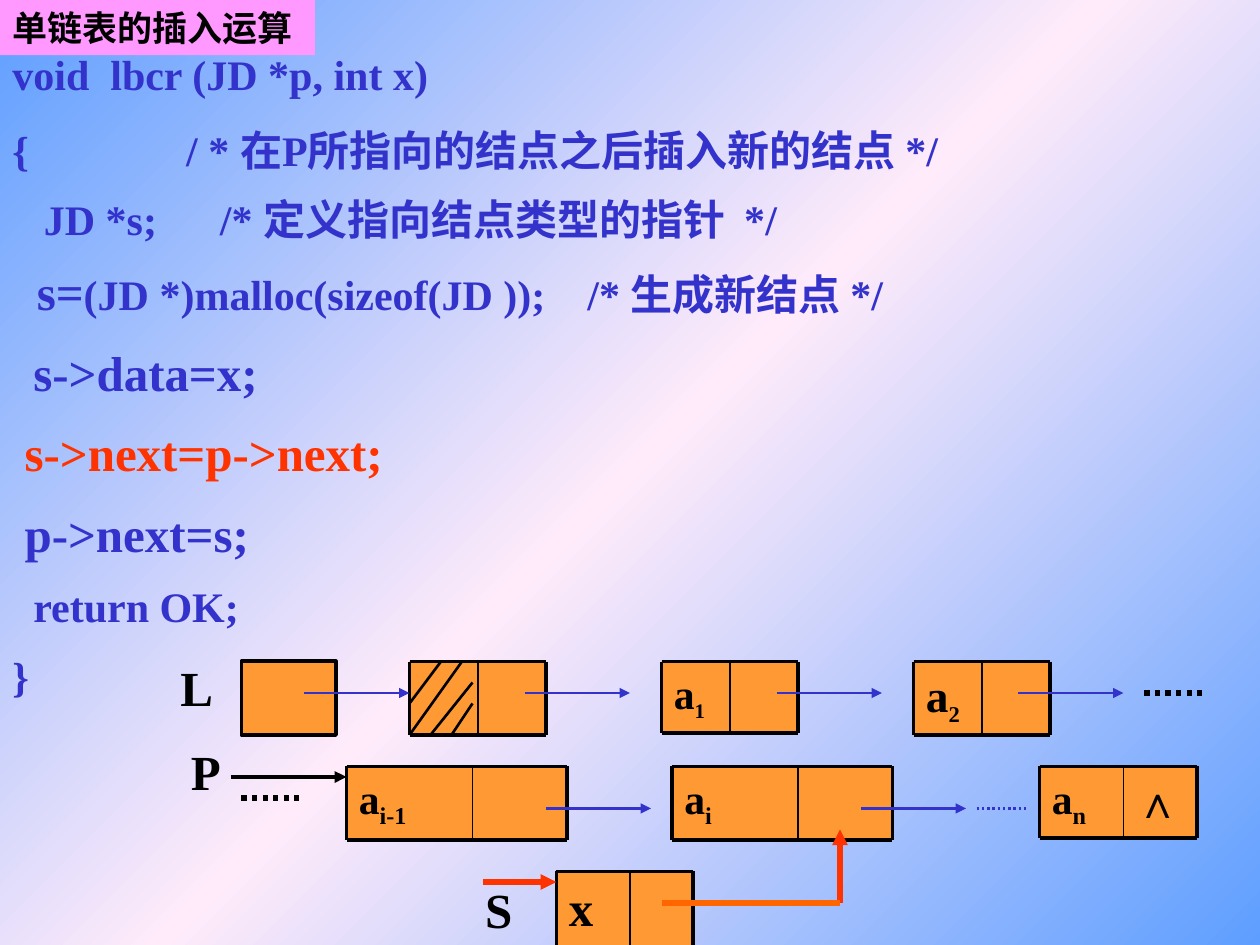
from lxml.etree import SubElement
from copy import deepcopy
from pptx import Presentation
from pptx.dml.color import RGBColor
from pptx.enum.dml import MSO_LINE
from pptx.enum.shapes import MSO_CONNECTOR as CONN, MSO_SHAPE as SHAPE
from pptx.enum.text import MSO_ANCHOR as ANCHOR, MSO_AUTO_SIZE as AUTO, PP_ALIGN as ALIGN
from pptx.oxml.ns import qn
from pptx.util import Pt

COLORS = {"black": "000000", "blue": "3333CC", "red": "FF3300", "link": "FF6600",
          "cell": "FF9933", "title": "FF99FF", "sky": "5E9EFF", "pink": "FFEBFA"}
FONT = "Times New Roman"


def rgb(name):
    """Return the named colour."""
    return RGBColor.from_string(COLORS[name])


def style(font, size, color="black", bold=True):
    """Format the font of a paragraph or run."""
    font.name, font.size, font.bold = FONT, Pt(size), bold
    font.color.rgb = rgb(color)


def frame(sp):
    """Return a shape's text frame, wrapped and anchored at the top."""
    tf = sp.text_frame
    tf.word_wrap, tf.auto_size, tf.vertical_anchor = True, AUTO.NONE, ANCHOR.TOP
    tf.margin_left = tf.margin_right = Pt(7.2)
    tf.margin_top = tf.margin_bottom = Pt(3.6)
    return tf


def line(shapes, x1, y1, x2, y2, color="black", width=2.25, arrow=False, dotted=False):
    """Draw a straight line, optionally dotted or with an arrowhead."""
    c = shapes.add_connector(CONN.STRAIGHT, Pt(x1), Pt(y1), Pt(x2), Pt(y2))
    c.line.color.rgb, c.line.width = rgb(color), Pt(width)
    if dotted:
        c.line.dash_style = MSO_LINE.ROUND_DOT
    if arrow:
        SubElement(c.line._get_or_add_ln(), qn("a:tailEnd"), type="triangle")
    SubElement(c._element.spPr, qn("a:effectLst"))


def label(s, text, x, y, w=54, align=ALIGN.LEFT):
    """Place a large pointer name."""
    sp = s.shapes.add_textbox(Pt(x), Pt(y), Pt(w), Pt(41))
    p = frame(sp).paragraphs[0]
    p.text, p.alignment = text, align
    style(p.font, 28)


def cell(shapes, x, y, w, h, text="", sub="", size=23.8, sub_size=None, bold=True):
    """Add a filled cell with optional text and subscript."""
    sp = shapes.add_shape(SHAPE.RECTANGLE, Pt(x), Pt(y), Pt(w), Pt(h))
    sp.shadow.inherit = False
    sp.fill.solid()
    sp.fill.fore_color.rgb = rgb("cell")
    sp.line.fill.background()
    if text:
        p = frame(sp).paragraphs[0]
        p.alignment = ALIGN.LEFT
        style(p.font, size, bold=bold)
        p.add_run().text = text
        if sub:
            r = p.add_run()
            r.text = sub
            r.font.size = Pt(sub_size or size)
            r._r.get_or_add_rPr().set("baseline", "-25000")
    return sp


def node(s, x, y, w, split, h=42, mark="", closed=True, **text):
    """Add a grouped list node with a data cell and a link cell."""
    shapes = s.shapes.add_group_shape().shapes
    cell(shapes, x + split, y, w - split, h, mark, size=25.9, bold=False)
    cell(shapes, x, y, split, h, **text)
    for dy in (0, h) if closed else (0,):
        line(shapes, x, y + dy, x + w, y + dy)
    for dx, width in ((0, 2.25), (split, 1), (w, 2.25)):
        line(shapes, x + dx, y, x + dx, y + h, width=width)


def title(s, x, y, w, h):
    """Format the title placeholder as a pink banner."""
    sp = s.shapes.title
    sp.left, sp.top, sp.width, sp.height = Pt(x), Pt(y), Pt(w), Pt(h)
    sp.fill.solid()
    sp.fill.fore_color.rgb = rgb("title")
    p = frame(sp).paragraphs[0]
    p.text, p.alignment = "单链表的插入运算", ALIGN.LEFT
    style(p.font, 20)


def code(s, x, y, w, h):
    """Write the insertion function line by line."""
    rows = [
        (1, 0, [("void  lbcr (JD *p, int x)", 24, "blue")]),
        (1, 15, [("{               / * 在P所指向的结点之后插入新的结点 */", 24, "blue")]),
        (0.85, 15, [("   JD *s;      /* 定义指向结点类型的指针  */", 24, "blue")]),
        (0.85, 15, [("  s=", 28, "blue"),
                    ("(JD *)malloc(sizeof(JD ));    /* 生成新结点 */", 24, "blue")]),
        (0.85, 17.5, [("  ", 24, "blue"), ("s->data=x;", 28, "blue")]),
        (0.85, 17.5, [(" s->next=p->next;", 28, "red")]),
        (0.85, 17.5, [(" p->next=s;", 28, "blue")]),
        (0.85, 15, [("  return OK;", 24, "blue")]),
        (0.85, 15, [("}", 24, "blue")]),
    ]
    tf = frame(s.shapes.add_textbox(Pt(x), Pt(y), Pt(w), Pt(h)))
    for i, (spacing, before, runs) in enumerate(rows):
        p = tf.add_paragraph() if i else tf.paragraphs[0]
        p.alignment, p.line_spacing, p.space_before = ALIGN.JUSTIFY, spacing, Pt(before)
        for text, size, color in runs:
            r = p.add_run()
            r.text = text
            style(r.font, size, color)


def head_row(s, x, y):
    """Draw pointer L, the head node and the first two nodes."""
    label(s, "L", x, y - 6)
    sp = cell(s.shapes, x + 42, y, 54, 42)
    sp.line.color.rgb, sp.line.width = rgb("black"), Pt(2.25)
    texts = ({}, dict(h=41, text="a", sub="1", sub_size=20.4),
             dict(text="a", sub="2", size=25.9, sub_size=22.2))
    for i, text in enumerate(texts):
        node(s, x + 138 + 144 * i, y, 78, 39, **text)
    for dx in (78, 204, 348, 486):
        line(s.shapes, x + dx, y + 18, x + dx + 60, y + 18, "blue", 1.5, arrow=True)
    line(s.shapes, x + 558, y + 18, x + 594, y + 18, width=3, dotted=True)
    for x1, y1, x2, y2 in ((156, 0, 138, 24), (168, 0, 138, 42),
                           (174, 12, 150, 42), (174, 24, 162, 42)):
        line(s.shapes, x + x1, y + y1, x + x2, y + y2, width=1.5)


def tail_row(s, x, y):
    """Draw pointer P and the nodes from i-1 to n."""
    label(s, "P", x, y - 18)
    line(s.shapes, x + 30, y + 6, x + 96, y + 6, arrow=True)
    line(s.shapes, x + 36, y + 18, x + 72, y + 18, width=3, dotted=True)
    node(s, x + 96, y, 126, 72, text="a", sub="i-1")
    node(s, x + 282, y, 126, 72, text="a", sub="i")
    node(s, x + 492, y, 90, 48, h=41, mark="∧", text="a", sub="n")
    for dx in (210, 390):
        line(s.shapes, x + dx, y + 24, x + dx + 60, y + 24, "blue", 1.5, arrow=True)
    line(s.shapes, x + 456, y + 24, x + 486, y + 24, "blue", 1.5, dotted=True)


def new_node(s, x, y):
    """Draw pointer S and the new node with its link."""
    label(s, "S", x, y + 1, 42, ALIGN.CENTER)
    node(s, x + 54, y, 78, 42, closed=False, text="x", size=28)
    line(s.shapes, x + 216, y + 18, x + 216, y - 24, "red", 3, arrow=True)
    line(s.shapes, x + 114, y + 18, x + 216, y + 18, "link", 3)
    line(s.shapes, x + 12, y + 6, x + 54, y + 6, "red", 3, arrow=True)


def background(s):
    """Fill the background with a diagonal three-stop gradient."""
    fill = s.background.fill
    fill.gradient()
    fill.gradient_angle = 135
    stops = s.element.find(".//" + qn("a:gsLst"))
    stops.insert(1, deepcopy(stops[0]))
    for stop, pos, color in zip(fill.gradient_stops, (0, 0.5, 1), ("sky", "pink", "sky")):
        stop.position, stop.color.rgb = pos, rgb(color)


def main():
    """Build and save the slide."""
    prs = Presentation()
    prs.slide_width, prs.slide_height = Pt(720), Pt(540)
    s = prs.slides.add_slide(prs.slide_layouts[5])
    background(s)
    title(s, 0, 0, 180, 31.5)
    head_row(s, 96, 378)
    tail_row(s, 102, 438)
    new_node(s, 264, 498)
    code(s, 0, 24, 570, 380)
    prs.save("out.pptx")


if __name__ == "__main__":
    main()
